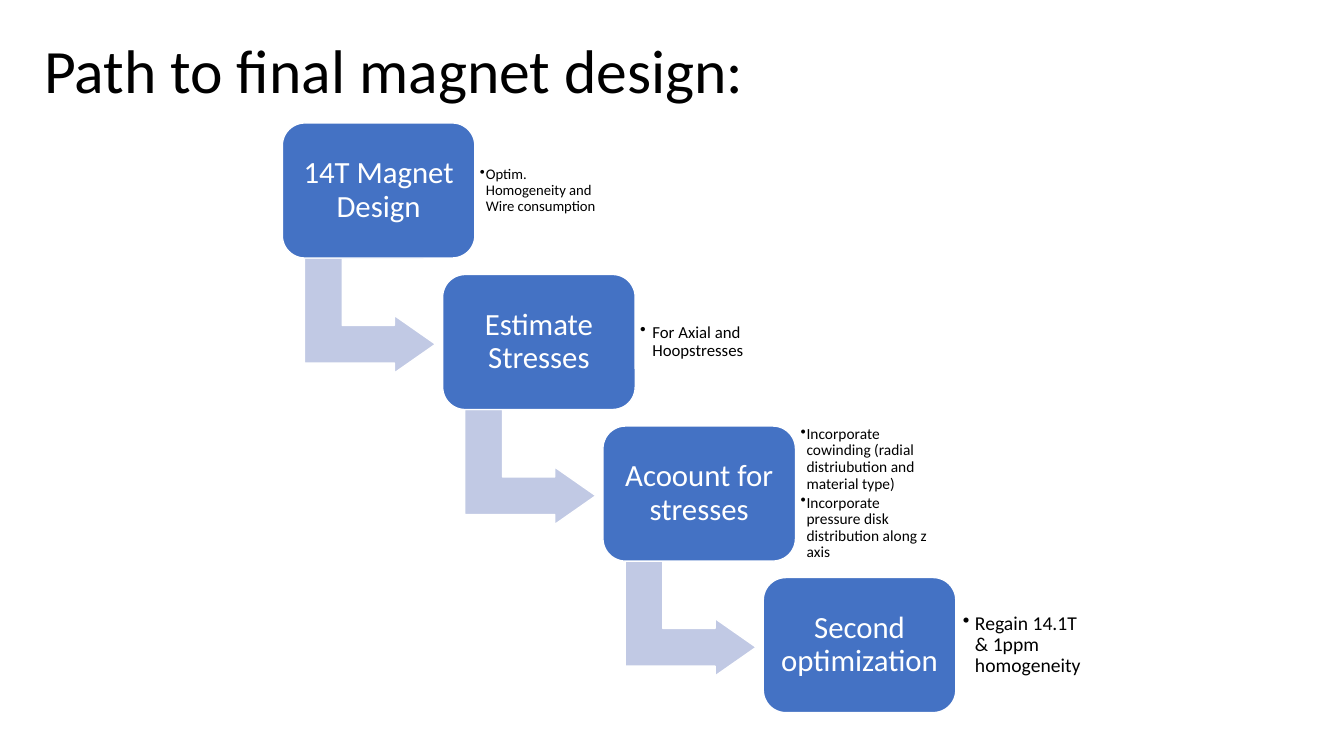
"""Build the slide that shows the four steps to the final magnet design."""
from dataclasses import dataclass

from lxml.etree import SubElement
from pptx import Presentation
from pptx.dml.color import RGBColor
from pptx.enum.shapes import MSO_SHAPE as Preset
from pptx.enum.text import MSO_ANCHOR as Anchor, PP_ALIGN as Align
from pptx.oxml.ns import qn
from pptx.util import Inches, Pt


@dataclass(frozen=True)
class Theme:
    """Hold the font, colours and type sizes."""
    font: str = "Calibri"
    ink: str = "000000"
    paper: str = "FFFFFF"
    box: str = "4472C4"
    arrow: str = "C1C9E4"
    title_size: float = 44
    box_size: float = 22


@dataclass(frozen=True)
class Step:
    """Describe one step and the layout of its notes."""
    name: str
    notes: tuple
    size: float
    indent: float
    margin: float = 0.05


STEPS = (
    Step("14T Magnet Design", ("Optim. Homogeneity and Wire consumption",), 10.5, 0.06),
    Step("Estimate Stresses", ("For Axial and Hoopstresses",), 12, 0.12),
    Step("Acoount for stresses",
         ("Incorporate cowinding (radial distriubution and material type)",
          "Incorporate pressure disk distribution along z axis"), 11, 0.06),
    Step("Second optimization", ("Regain 14.1T & 1ppm homogeneity",), 14, 0.12, 0.07),
)
FIRST_LEFT, FIRST_TOP = 2.8, 1.22
STEP_RIGHT, STEP_DOWN = 1.59, 4.51 / 3
BOX_WIDTH, BOX_HEIGHT = 1.91, 1.34


class SlideBuilder:
    """Draw styled elements on the current slide."""

    def __init__(self, slide, theme):
        """Keep the slide and its theme."""
        self.slide = slide
        self.theme = theme

    def fill_text(self, text_frame, lines, size, color, margins, align=Align.LEFT, after=0):
        """Fill a text frame with styled paragraphs."""
        text_frame.word_wrap = True
        text_frame.vertical_anchor = Anchor.MIDDLE
        text_frame.margin_left = text_frame.margin_right = Inches(margins[0])
        text_frame.margin_top = text_frame.margin_bottom = Inches(margins[1])
        text_frame.text = "\n".join(lines)
        for paragraph in text_frame.paragraphs:
            paragraph.alignment = align
            paragraph.line_spacing = 0.9
            paragraph.space_after = Pt(size * after)
            for run in paragraph.runs:
                run.font.name = self.theme.font
                run.font.size = Pt(size)
                run.font.color.rgb = RGBColor.from_string(color)

    def text_box(self, left, top, width, height):
        """Add a text box and return its text frame."""
        return self.slide.shapes.add_textbox(
            Inches(left), Inches(top), Inches(width), Inches(height)).text_frame

    def shape(self, preset, left, top, width, height, fill, adjustments):
        """Add a filled preset shape with a thin outline."""
        shape = self.slide.shapes.add_shape(
            preset, Inches(left), Inches(top), Inches(width), Inches(height))
        shape.shadow.inherit = False
        shape.fill.solid()
        shape.fill.fore_color.rgb = RGBColor.from_string(fill)
        shape.line.color.rgb = RGBColor.from_string(self.theme.paper)
        shape.line.width = Pt(1)
        for index, value in enumerate(adjustments):
            shape.adjustments[index] = value
        return shape

    def title(self, text):
        """Add the slide title."""
        self.fill_text(self.text_box(0.34, 0, 11.5, 1.45), [text],
                       self.theme.title_size, self.theme.ink, (0.1, 0.05))

    def box(self, left, top, name):
        """Add a rounded step box with its name."""
        box = self.shape(Preset.ROUNDED_RECTANGLE, left, top, BOX_WIDTH, BOX_HEIGHT,
                         self.theme.box, [0.167])
        self.fill_text(box.text_frame, [name], self.theme.box_size, self.theme.paper,
                       (0.09, 0.09), Align.CENTER, 0.35)

    def arrow(self, left, top):
        """Add the bent arrow that leads to the next step."""
        arrow = self.shape(Preset.BENT_UP_ARROW, left, top, 1.14, 1.3,
                           self.theme.arrow, [0.328, 0.25, 0.358])
        arrow.rotation = 90

    def notes(self, left, top, step):
        """Add the bulleted notes beside a step."""
        text_frame = self.text_box(left, top, 1.39, 1.08)
        self.fill_text(text_frame, step.notes, step.size, self.theme.ink,
                       (step.margin, step.margin), after=0.15)
        for paragraph in text_frame.paragraphs:
            properties = paragraph._p.get_or_add_pPr()
            properties.set("marL", str(Inches(step.indent)))
            properties.set("indent", str(-Inches(step.indent)))
            SubElement(properties, qn("a:buChar")).set("char", "•")


def main():
    """Build and save the presentation."""
    presentation = Presentation()
    presentation.slide_width = Inches(13.33)
    presentation.slide_height = Inches(7.5)
    slide = presentation.slides.add_slide(presentation.slide_layouts[6])
    builder = SlideBuilder(slide, Theme())
    builder.title("Path to final magnet design:")
    for index, step in enumerate(STEPS):
        left = FIRST_LEFT + index * STEP_RIGHT
        top = FIRST_TOP + index * STEP_DOWN
        if index < len(STEPS) - 1:
            builder.arrow(left + 0.3, top + 1.26)
        builder.box(left, top, step.name)
        builder.notes(left + BOX_WIDTH, top + 0.13, step)
    presentation.save("out.pptx")


if __name__ == "__main__":
    main()
